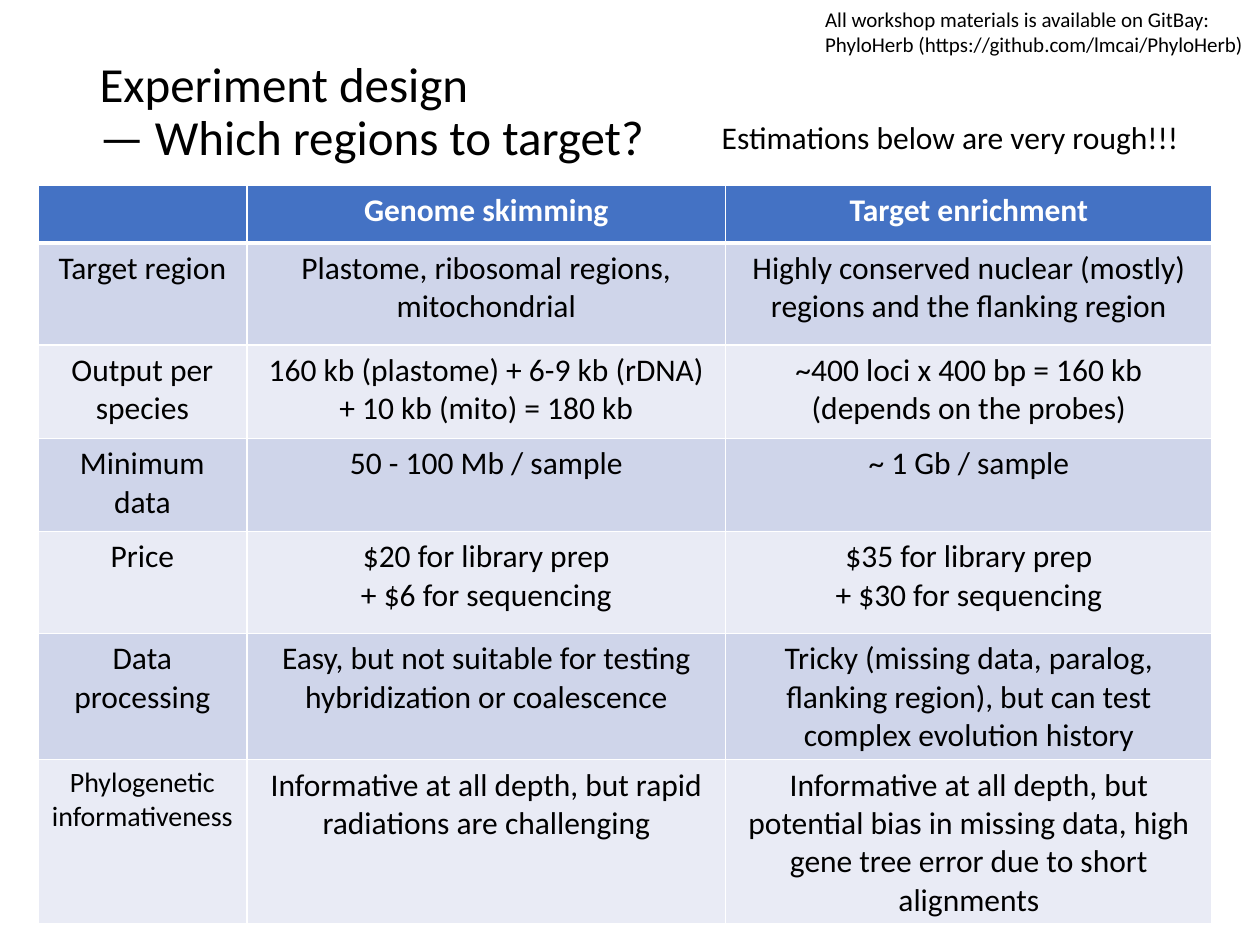
from lxml import etree
from pptx import Presentation, util as u
from pptx.dml import color
from pptx.enum import text
from pptx.oxml import ns

COLUMN_WIDTHS = [1.66, 3.8, 3.86]
ROW_HEIGHTS = [0.46, 0.81, 0.74, 0.74, 0.81, 0.74, 0.81]
METHODS = [
    ["", "Genome skimming", "Target enrichment"],
    ["Target region", "Plastome, ribosomal regions, mitochondrial",
     "Highly conserved nuclear (mostly) regions and the flanking region"],
    ["Output per species", "160 kb (plastome) + 6-9 kb (rDNA) + 10 kb (mito) = 180 kb",
     "~400 loci x 400 bp = 160 kb\n(depends on the probes)"],
    ["Minimum data", "50 - 100 Mb / sample", "~ 1 Gb / sample"],
    ["Price", "$20 for library prep\n+ $6 for sequencing",
     "$35 for library prep\n+ $30 for sequencing"],
    ["Data processing", "Easy, but not suitable for testing hybridization or coalescence",
     "Tricky (missing data, paralog, flanking region), but can test complex evolution history"],
    ["Phylogenetic informativeness",
     "Informative at all depth, but rapid radiations are challenging",
     "Informative at all depth, but potential bias in missing data, "
     "high gene tree error due to short alignments"],
]


def rgb(value):
    """Turn a hex string into a colour."""
    return color.RGBColor.from_string(value)


def assign(target, values):
    """Set each attribute of the target from a dict."""
    for name, value in values.items():
        setattr(target, name, value)


class SlideBuilder:
    """Hold the style and the current slide, and add its elements."""

    font = "Calibri"
    ink, paper = "000000", "FFFFFF"
    header, bands = "4472C4", ("CFD5EA", "E9EBF5")

    def __init__(self, deck):
        self.page = deck.slides.add_slide(deck.slide_layouts[5])

    def fill_text(self, frame, words, size, ink=ink, bold=False, **layout):
        frame.text = words
        for para in frame.paragraphs:
            assign(para, layout)
            for span in para.runs:
                assign(span.font, {"name": self.font, "size": u.Pt(size), "bold": bold})
                span.font.color.rgb = rgb(ink)

    def title(self, words, left, top, width, height):
        box = self.page.shapes.title
        assign(box, {"left": u.Inches(left), "top": u.Inches(top),
                     "width": u.Inches(width), "height": u.Inches(height)})
        assign(box.text_frame, {"vertical_anchor": text.MSO_ANCHOR.MIDDLE, "word_wrap": True,
                                "auto_size": text.MSO_AUTO_SIZE.NONE})
        self.fill_text(box.text_frame, words, 28, alignment=text.PP_ALIGN.LEFT, line_spacing=0.9)

    def note(self, words, size, *place):
        box = self.page.shapes.add_textbox(*map(u.Inches, place))
        assign(box.text_frame, {"word_wrap": False,
                                "auto_size": text.MSO_AUTO_SIZE.SHAPE_TO_FIT_TEXT})
        self.fill_text(box.text_frame, words, size)

    def borders(self, cell, bottom):
        properties = cell._tc.get_or_add_tcPr()
        for index, (side, points) in enumerate(zip("LRTB", (1, 1, 1, bottom))):
            line = etree.Element(ns.qn(f"a:ln{side}"), w=str(u.Pt(points)))
            fill = etree.SubElement(line, ns.qn("a:solidFill"))
            etree.SubElement(fill, ns.qn("a:srgbClr"), val=self.paper)
            properties.insert(index, line)

    def table(self, rows, widths, heights, left, top):
        grid = self.page.shapes.add_table(
            len(rows), len(widths), u.Inches(left), u.Inches(top),
            u.Inches(sum(widths)), u.Inches(sum(heights))).table
        grid.horz_banding = False
        for column, width in zip(grid.columns, widths):
            column.width = u.Inches(width)
        for r, (row, height) in enumerate(zip(rows, heights)):
            grid.rows[r].height = u.Inches(height)
            is_header = r == 0
            for c, words in enumerate(row):
                cell = grid.cell(r, c)
                cell.fill.solid()
                cell.fill.fore_color.rgb = rgb(self.header if is_header else self.bands[(r - 1) % 2])
                self.borders(cell, 3 if is_header else 1)
                size = 16 if words.startswith("Phylogenetic") else 18
                self.fill_text(cell.text_frame, words, size, self.paper if is_header else self.ink,
                               is_header, alignment=text.PP_ALIGN.CENTER)


def main():
    """Build the slide and save the deck."""
    deck = Presentation()
    assign(deck, {"slide_width": u.Inches(10), "slide_height": u.Inches(7.5)})
    slide = SlideBuilder(deck)
    slide.title("Experiment design\v— Which regions to target?", 0.69, 0.17, 8.62, 1.45)
    slide.note("All workshop materials is available on GitBay:\n"
               "PhyloHerb (https://github.com/lmcai/PhyloHerb)", 12, 6.45, 0, 3.55, 0.5)
    slide.table(METHODS, COLUMN_WIDTHS, ROW_HEIGHTS, 0.3, 1.47)
    slide.note("Estimations below are very rough!!!", 18, 5.63, 0.89, 3.87, 0.4)
    deck.save("out.pptx")


if __name__ == "__main__":
    main()
